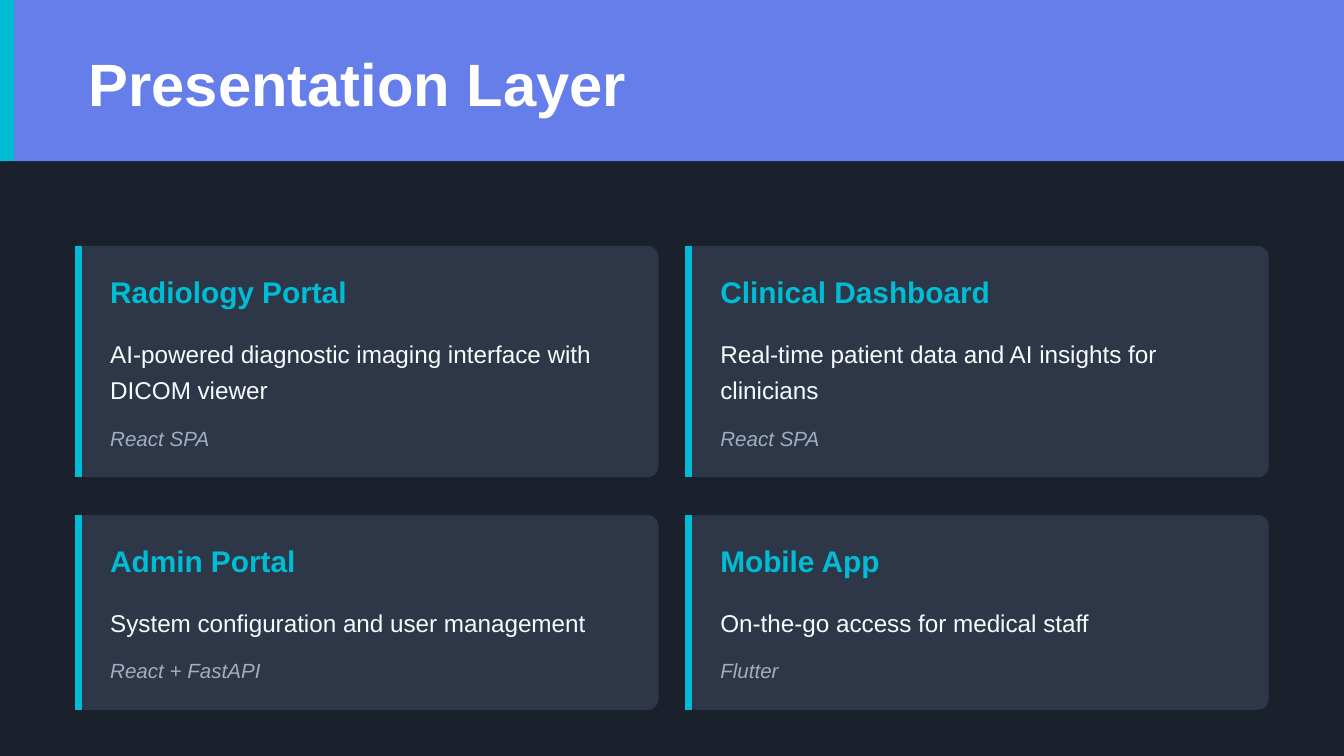
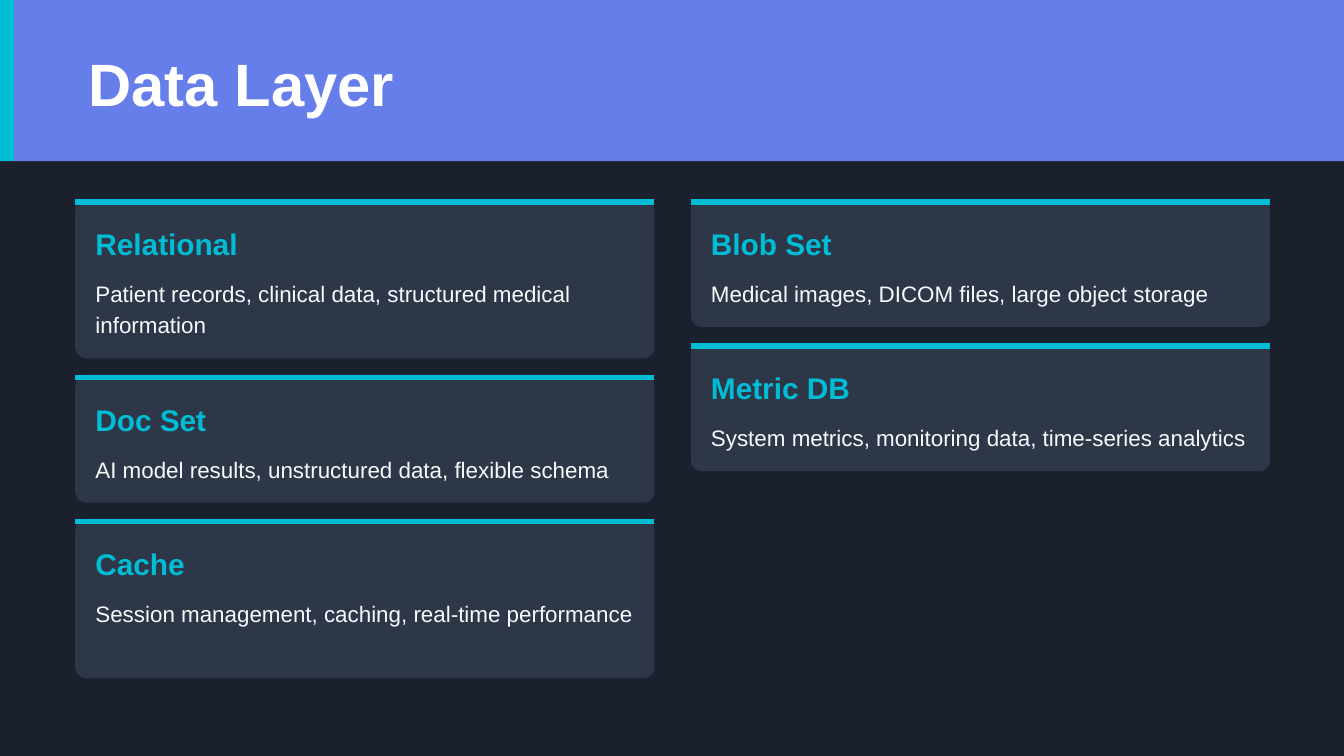
from dataclasses import dataclass

from lxml.etree import SubElement
from pptx import Presentation
from pptx.dml.color import RGBColor
from pptx.enum.shapes import MSO_CONNECTOR, MSO_SHAPE
from pptx.oxml.ns import qn
from pptx.slide import Slide
from pptx.util import Inches, Pt

COLORS = {
    "background": "1A202C",
    "band": "667EEA",
    "accent": "00BCD4",
    "card": "2D3748",
    "title": "FFFFFF",
    "body": "F7FAFC",
    "muted": "A0AEC0",
}
POINTS_PER_INCH = 72
SLIDE_WIDTH = 10
SLIDE_HEIGHT = SLIDE_WIDTH * 9 / 16
BAND_HEIGHT = 1.2
CARD_LEFT = 0.56
CORNER_RADIUS = 6 / POINTS_PER_INCH


@dataclass(frozen=True)
class TextStyle:
    color: str
    font: dict
    paragraph: dict


TITLE = TextStyle("title", {"size": Pt(32), "bold": True}, {})
PORTAL_NAME = TextStyle("accent", {"size": Pt(16), "bold": True}, {"space_after": Pt(12)})
PORTAL_PURPOSE = TextStyle(
    "body", {"size": Pt(13)}, {"line_spacing": Pt(19.5), "space_after": Pt(8)})
PORTAL_STACK = TextStyle(
    "muted", {"size": Pt(11), "italic": True}, {"line_spacing": Pt(16.5)})
STORE_NAME = TextStyle("accent", {"size": Pt(16), "bold": True}, {"space_after": Pt(8)})
STORE_CONTENT = TextStyle("body", {"size": Pt(12)}, {"line_spacing": Pt(16.8)})


@dataclass(frozen=True)
class Portal:
    name: str
    purpose: str
    stack: str


@dataclass(frozen=True)
class Store:
    name: str
    content: str
    lines: int = 1


@dataclass(frozen=True)
class PortalRow:
    lines: int
    portals: tuple[Portal, ...]


PORTAL_ROWS = (
    PortalRow(2, (
        Portal("Radiology Portal",
               "AI-powered diagnostic imaging interface with DICOM viewer", "React SPA"),
        Portal("Clinical Dashboard",
               "Real-time patient data and AI insights for clinicians", "React SPA"),
    )),
    PortalRow(1, (
        Portal("Admin Portal", "System configuration and user management",
               "React + FastAPI"),
        Portal("Mobile App", "On-the-go access for medical staff", "Flutter"),
    )),
)

STORE_COLUMNS = (
    (
        Store("Relational",
              "Patient records, clinical data, structured medical information", 2),
        Store("Doc Set", "AI model results, unstructured data, flexible schema"),
        Store("Cache", "Session management, caching, real-time performance", 2),
    ),
    (
        Store("Blob Set", "Medical images, DICOM files, large object storage"),
        Store("Metric DB", "System metrics, monitoring data, time-series analytics"),
    ),
)


def rgb(key: str) -> RGBColor:
    return RGBColor.from_string(COLORS[key])


def add_panel(slide: Slide, preset: MSO_SHAPE, color: str,
              left: float, top: float, width: float, height: float) -> None:
    panel = slide.shapes.add_shape(
        preset, Inches(left), Inches(top), Inches(width), Inches(height))
    panel.shadow.inherit = False
    panel.fill.solid()
    panel.fill.fore_color.rgb = rgb(color)
    panel.line.fill.background()
    if preset == MSO_SHAPE.ROUNDED_RECTANGLE:
        panel.adjustments[0] = CORNER_RADIUS / min(width, height)


def add_accent(slide: Slide, left: float, top: float, length: float,
               points: float, vertical: bool = True) -> None:
    """Draw a stripe just inside the left or the top edge of a panel."""
    inset = points / 2 / POINTS_PER_INCH
    if vertical:
        ends = (left + inset, top, left + inset, top + length)
    else:
        ends = (left, top + inset, left + length, top + inset)
    stripe = slide.shapes.add_connector(
        MSO_CONNECTOR.STRAIGHT, *(Inches(end) for end in ends))
    stripe.line.color.rgb = rgb("accent")
    stripe.line.width = Pt(points)
    SubElement(stripe._element.spPr, qn("a:effectLst"))


def add_text(slide: Slide, text: str, style: TextStyle,
             left: float, top: float, width: float, height: float) -> None:
    frame = slide.shapes.add_textbox(
        Inches(left), Inches(top), Inches(width), Inches(height)).text_frame
    frame.word_wrap = True
    for side in ("left", "top", "right", "bottom"):
        setattr(frame, f"margin_{side}", 0)
    paragraph = frame.paragraphs[0]
    run = paragraph.add_run()
    run.text = text
    for target, formats in ((paragraph, style.paragraph),
                            (run.font, {"name": "Arial", **style.font})):
        for attribute, value in formats.items():
            setattr(target, attribute, value)
    run.font.color.rgb = rgb(style.color)


def add_layer_slide(deck: Presentation, title: str) -> Slide:
    slide = deck.slides.add_slide(deck.slide_layouts[6])
    slide.background.fill.solid()
    slide.background.fill.fore_color.rgb = rgb("background")
    add_panel(slide, MSO_SHAPE.RECTANGLE, "band", 0, 0, SLIDE_WIDTH, BAND_HEIGHT)
    add_accent(slide, 0, 0, BAND_HEIGHT, 7.5)
    add_text(slide, title, TITLE, 0.66, 0.35, 8.96, 0.51)
    return slide


def add_portal(slide: Slide, portal: Portal, left: float, top: float,
               width: float, height: float, purpose_height: float) -> None:
    add_panel(slide, MSO_SHAPE.ROUNDED_RECTANGLE, "card", left, top, width, height)
    add_accent(slide, left, top, height, 3.75)
    # Name, purpose and technology, stacked from the top of the card
    for text, style, offset, text_height in (
        (portal.name, PORTAL_NAME, 0.21, 0.26),
        (portal.purpose, PORTAL_PURPOSE, 0.64, purpose_height),
        (portal.stack, PORTAL_STACK, 0.75 + purpose_height, 0.23),
    ):
        add_text(slide, text, style, left + 0.26, top + offset, 3.95, text_height)


def add_store(slide: Slide, store: Store, left: float, top: float,
              width: float, height: float, content_height: float) -> None:
    add_panel(slide, MSO_SHAPE.ROUNDED_RECTANGLE, "card", left, top, width, height)
    add_accent(slide, left, top, width, 3, vertical=False)
    for text, style, offset, text_height in (
        (store.name, STORE_NAME, 0.2, 0.26),
        (store.content, STORE_CONTENT, 0.57, content_height),
    ):
        add_text(slide, text, style, left + 0.15, top + offset, 4.08, text_height)


def build_presentation_layer(deck: Presentation) -> None:
    slide = add_layer_slide(deck, "Presentation Layer")
    width, column_gap, row_gap = 4.34, 0.2, 0.28
    top = 1.83
    for row in PORTAL_ROWS:
        purpose_height = row.lines * 19.5 / POINTS_PER_INCH
        height = 1.18 + purpose_height
        for column, portal in enumerate(row.portals):
            left = CARD_LEFT + column * (width + column_gap)
            add_portal(slide, portal, left, top, width, height, purpose_height)
        top += height + row_gap


def build_data_layer(deck: Presentation) -> None:
    slide = add_layer_slide(deck, "Data Layer")
    width, column_gap, row_gap = 4.31, 0.27, 0.12
    for column, stores in enumerate(STORE_COLUMNS):
        left = CARD_LEFT + column * (width + column_gap)
        top = 1.48
        for store in stores:
            content_height = store.lines * 16.8 / POINTS_PER_INCH
            height = 0.72 + content_height
            add_store(slide, store, left, top, width, height, content_height)
            top += height + row_gap


def main() -> None:
    deck = Presentation()
    deck.slide_width = Inches(SLIDE_WIDTH)
    deck.slide_height = Inches(SLIDE_HEIGHT)
    build_presentation_layer(deck)
    build_data_layer(deck)
    deck.save("out.pptx")


if __name__ == "__main__":
    main()
